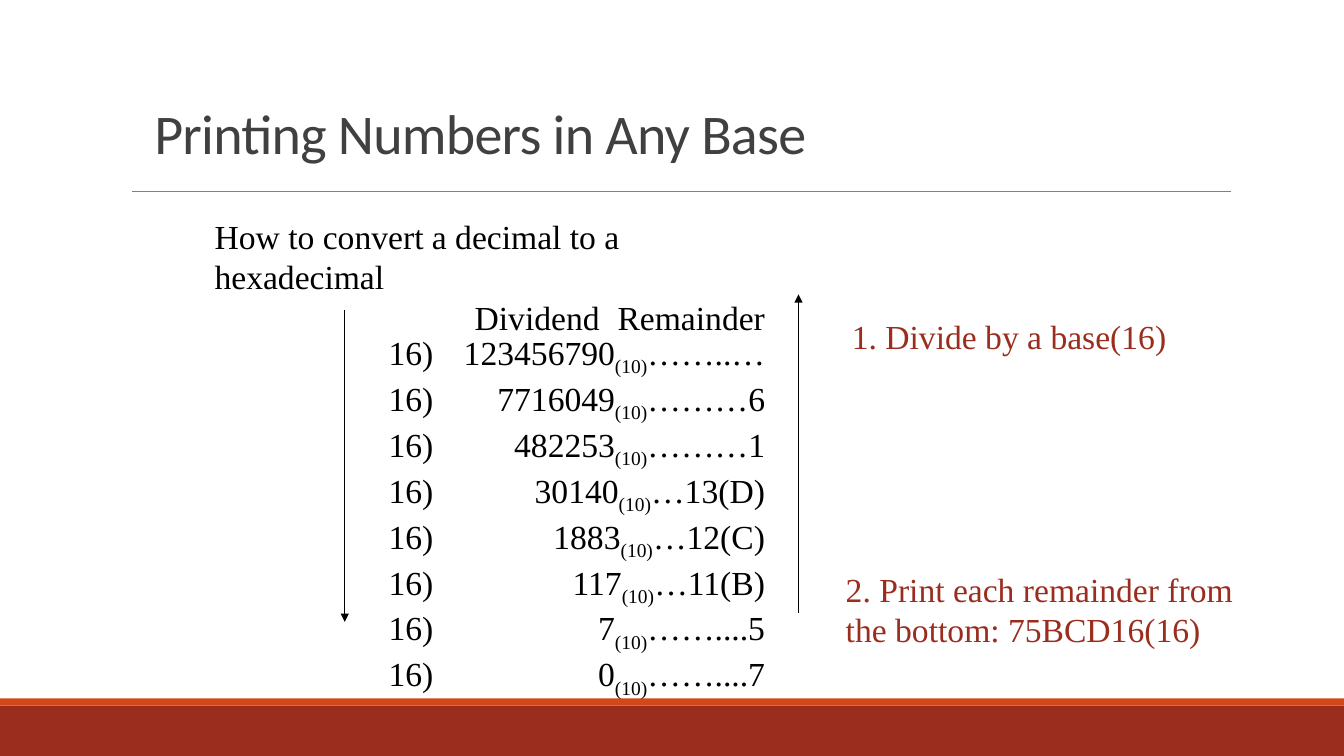
"""Build a slide that explains decimal to hexadecimal conversion."""
from dataclasses import dataclass

from lxml.etree import SubElement
from pptx import Presentation
from pptx.dml.color import RGBColor
from pptx.enum.shapes import MSO_CONNECTOR, MSO_SHAPE
from pptx.enum.text import MSO_ANCHOR, MSO_AUTO_SIZE, PP_ALIGN
from pptx.oxml.ns import qn
from pptx.util import Emu, Pt

PX = 9144
RED, ORANGE, BLACK = "9B2D1F", "D34817", "000000"
SERIF = "Times New Roman"
ROW_TABS = (217, 546)
HEADER_TABS = (382, 546)


@dataclass
class Bar:
    top: int
    height: int
    color: str


@dataclass
class Line:
    start: tuple[int, int]
    end: tuple[int, int]
    color: str
    width: float
    arrow: bool = False


@dataclass
class Step:
    dividend: str
    remainder: str


@dataclass
class Note:
    box: tuple[int, int, int, int]
    lines: list[str]


BARS = [Bar(700, 50, RED), Bar(693, 7, ORANGE)]
LINES = [
    Line((131, 190), (1221, 190), "808080", 0.5),
    Line((342, 308), (342, 617), BLACK, 0.75, True),
    Line((792, 608), (792, 292), BLACK, 0.75, True),
]
STEPS = [
    Step("123456790", "……..…"),
    Step("7716049", "………6"),
    Step("482253", "………1"),
    Step("30140", "…13(D)"),
    Step("1883", "…12(C)"),
    Step("117", "…11(B)"),
    Step("7", "……....5"),
    Step("0", "……....7"),
]
NOTES = [
    Note((835, 308, 369, 50), ["1. Divide by a base(16)"]),
    Note((829, 559, 456, 91), ["2. Print each remainder from", "the bottom: 75BCD16(16)"]),
]


def px(*values: int) -> list[Emu]:
    return [Emu(v * PX) for v in values]


def rgb(color: str) -> RGBColor:
    return RGBColor.from_string(color)


def set_font(font, name: str, size: int, color: str) -> None:
    font.name, font.size = name, Pt(size)
    font.color.rgb = rgb(color)


def add_bar(slide, bar: Bar) -> None:
    s = slide.shapes.add_shape(MSO_SHAPE.RECTANGLE, *px(0, bar.top, 1333, bar.height))
    s.shadow.inherit = False
    s.fill.solid()
    s.fill.fore_color.rgb = rgb(bar.color)
    s.line.fill.background()


def add_line(slide, line: Line) -> None:
    s = slide.shapes.add_connector(MSO_CONNECTOR.STRAIGHT, *px(*line.start, *line.end))
    s.line.color.rgb = rgb(line.color)
    s.line.width = Pt(line.width)
    if line.arrow:
        SubElement(s.line._get_or_add_ln(), qn("a:tailEnd"), type="triangle")
    SubElement(s._element.spPr, qn("a:effectLst"))


def add_box(slide, box: tuple[int, int, int, int]):
    tf = slide.shapes.add_textbox(*px(*box)).text_frame
    tf.word_wrap = True
    return tf


def add_paragraph(tf, first: bool, color: str, tabs: tuple[int, ...] = (), after: float = 0):
    p = tf.paragraphs[0] if first else tf.add_paragraph()
    p.line_spacing = Pt(28.9)
    p.space_after = Pt(after)
    if tabs:
        tab_list = SubElement(p._p.get_or_add_pPr(), qn("a:tabLst"))
        for pos in tabs:
            SubElement(tab_list, qn("a:tab"), pos=str(pos * PX), algn="r")
    set_font(p.font, SERIF, 24, color)
    return p


def add_run(p, text: str, baseline: int = 0) -> None:
    r = p.add_run()
    r.text = text
    if baseline:
        r._r.get_or_add_rPr().set("baseline", str(baseline * 1000))


def add_title(slide, text: str) -> None:
    s = slide.shapes.title
    s.left, s.top, s.width, s.height = px(143, 45, 850, 125)
    tf = s.text_frame
    tf.vertical_anchor = MSO_ANCHOR.BOTTOM
    tf.auto_size = MSO_AUTO_SIZE.NONE
    p = tf.paragraphs[0]
    p.alignment = PP_ALIGN.LEFT
    p.line_spacing = 0.85
    set_font(p.font, "Calibri", 40, "404040")
    r = p.add_run()
    r.text = text
    r._r.get_or_add_rPr().set("spc", "-50")


def add_division(slide) -> None:
    tf = add_box(slide, (203, 209, 567, 454))
    add_run(add_paragraph(tf, True, BLACK), "How to convert a decimal to a hexadecimal")
    add_run(add_paragraph(tf, False, BLACK, HEADER_TABS), "\tDividend\tRemainder")
    for step in STEPS:
        p = add_paragraph(tf, False, BLACK, ROW_TABS, 3.9)
        add_run(p, f"\t16)\t{step.dividend}")
        add_run(p, "(10)", -25)
        add_run(p, step.remainder)


def add_note(slide, note: Note) -> None:
    tf = add_box(slide, note.box)
    for i, text in enumerate(note.lines):
        add_run(add_paragraph(tf, i == 0, RED), text)


def main() -> None:
    prs = Presentation()
    prs.slide_width, prs.slide_height = px(1333, 750)
    slide = prs.slides.add_slide(prs.slide_layouts[5])
    for bar in BARS:
        add_bar(slide, bar)
    add_title(slide, "Printing Numbers in Any Base")
    add_division(slide)
    for line in LINES:
        add_line(slide, line)
    for note in NOTES:
        add_note(slide, note)
    prs.save("out.pptx")


if __name__ == "__main__":
    main()
